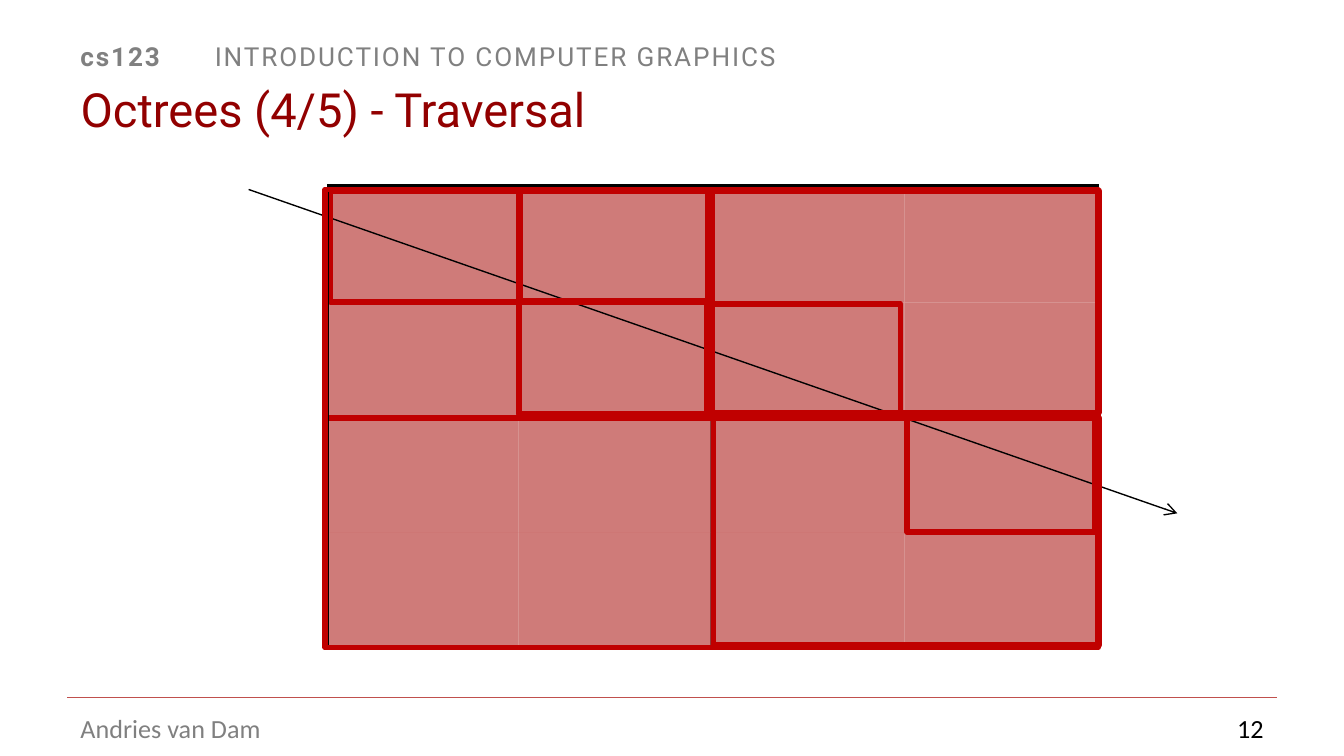
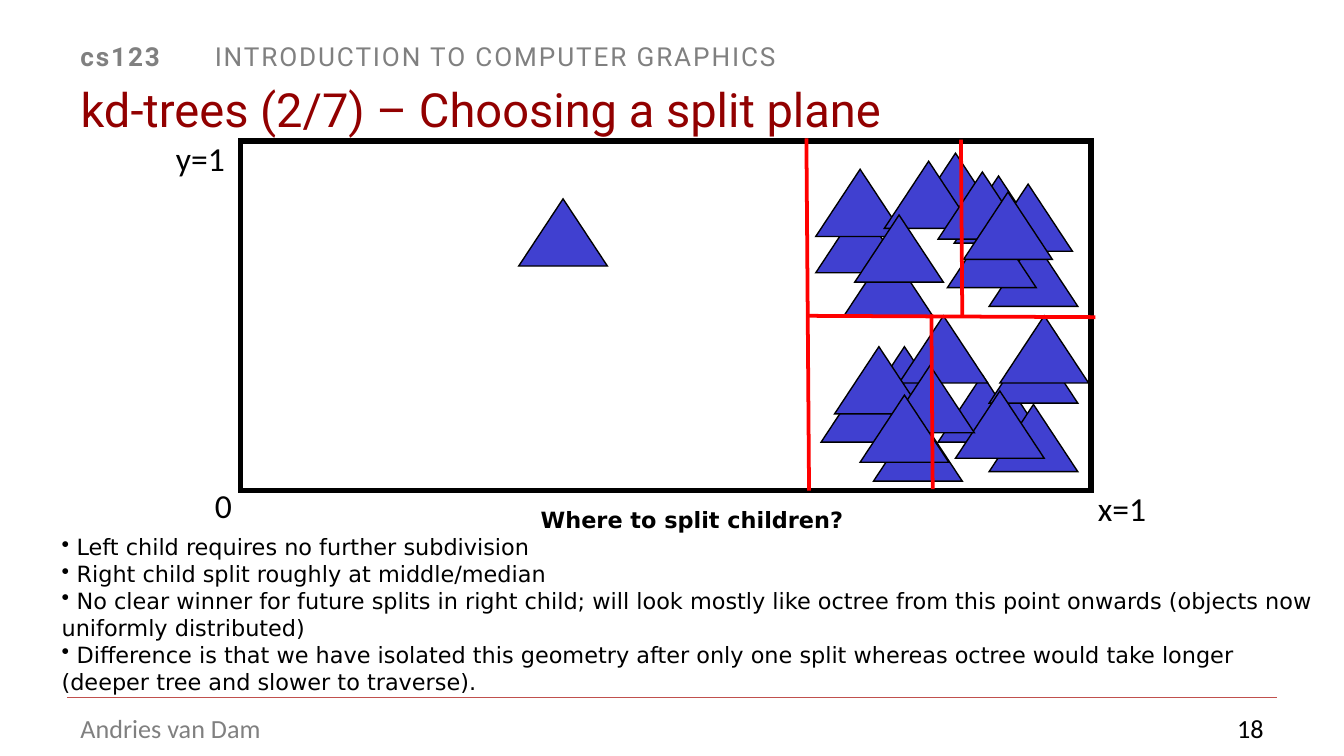
from lxml.etree import SubElement
from pptx import Presentation
from pptx.dml.color import RGBColor
from pptx.enum.shapes import MSO_CONNECTOR, MSO_SHAPE
from pptx.enum.text import MSO_ANCHOR, MSO_AUTO_SIZE, PP_ALIGN
from pptx.oxml.ns import qn
from pptx.util import Inches, Pt

PX = 9144

WHITE = RGBColor(0xFF, 0xFF, 0xFF)
BLACK = RGBColor(0, 0, 0)
GREY = RGBColor(0x80, 0x80, 0x80)
TITLE_RED = RGBColor(0x92, 0, 0)
CELL_RED = RGBColor(0xC0, 0x50, 0x4D)
VISITED_RED = RGBColor(0xC0, 0, 0)
SPLIT_RED = RGBColor(0xFF, 0, 0)
TRIANGLE_BLUE = RGBColor(0x40, 0x40, 0xD0)

COURSE = ("cs123 \t", "INTRODUCTION TO COMPUTER GRAPHICS")
AUTHOR = "Andries van Dam"

OCTREE_TITLE, OCTREE_PAGE = "Octrees (4/5) - Traversal", "12"
GRID_LEFT, GRID_TOP, GRID_COUNT = 243, 140, 4
CELL_WIDTH, CELL_HEIGHT, HALF_GAP = 143, 85, 1
GRID_AXES = [(529, 140, 529, 481), (242, 310, 817, 310)]
RAY = (185, 141, 876, 382)
OUTLINES = [
    (243, 142, 286, 169, VISITED_RED, 3),
    (246, 142, 140, 83, VISITED_RED, 3),
    (386, 225, 140, 83, VISITED_RED, 3),
    (530, 142, 288, 165, VISITED_RED, 3),
    (244, 138, 573, 344, BLACK, 1.5),
    (530, 226, 140, 82, VISITED_RED, 3),
    (531, 311, 287, 169, VISITED_RED, 3),
    (675, 309, 140, 87, VISITED_RED, 3),
    (387, 142, 140, 82, VISITED_RED, 3),
    (242, 141, 575, 341, VISITED_RED, 3),
]

KD_TITLE, KD_PAGE = "kd-trees (2/7) – Choosing a split plane", "18"
QUESTION = "Where to split children?"
ANSWERS = [
    "Left child requires no further subdivision",
    "Right child split roughly at middle/median",
    "No clear winner for future splits in right child; will look mostly like octree "
    "from this point onwards (objects now uniformly distributed)",
    "Difference is that we have isolated this geometry after only one split whereas "
    "octree would take longer (deeper tree and slower to traverse).",
]
AXIS_LABELS = [
    ("0", (150, 356, 33, 40), False),
    ("x=1", (807, 358, 56, 40), False),
    ("y=1", (121, 98, 69, 40), True),
]
SPACE = (179, 105, 633, 260)
TRIANGLE_SIZE = (66, 50)
LONE_TRIANGLE = (386, 148)
FIRST_SPLIT = (600, 103, 602, 365)
CLUSTER = [
    (717, 286), (698, 279), (710, 131), (628, 185), (736, 178), (607, 153),
    (640, 258), (736, 301), (669, 235), (678, 114), (611, 279), (736, 250),
    (621, 258), (744, 235), (607, 126), (650, 308), (705, 164), (711, 291),
    (732, 137), (658, 120), (659, 272), (698, 128), (717, 143), (640, 294),
    (636, 160),
]
LATER_SPLITS = [(601, 235, 815, 236), (715, 104, 716, 235), (693, 234, 694, 364)]


def emu(lengths):
    return [length * PX for length in lengths]


def style_font(font, name, size, colour, bold=False):
    font.name, font.size, font.bold = name, Pt(size), bold
    font.color.rgb = colour


def add_figure(slide, kind, box, fill=None, colour=None, weight=0.75):
    figure = slide.shapes.add_shape(kind, *emu(box))
    figure.shadow.inherit = False
    if fill is None:
        figure.fill.background()
    else:
        figure.fill.solid()
        figure.fill.fore_color.rgb = fill
    if colour is None:
        figure.line.fill.background()
    else:
        figure.line.color.rgb = colour
        figure.line.width = Pt(weight)
        if colour == BLACK:
            SubElement(figure.line._get_or_add_ln(), qn("a:miter"), lim="800000")
    return figure


def add_line(slide, ends, colour, weight=0.75, arrow=False):
    line = slide.shapes.add_connector(MSO_CONNECTOR.STRAIGHT, *emu(ends))
    line.line.color.rgb = colour
    line.line.width = Pt(weight)
    if arrow:
        SubElement(line.line._get_or_add_ln(), qn("a:tailEnd"), type="arrow")
    SubElement(line._element.spPr, qn("a:effectLst"))


def add_label(slide, text, box, size, colour, wrap=True, align=PP_ALIGN.LEFT):
    frame = slide.shapes.add_textbox(*emu(box)).text_frame
    frame.word_wrap = wrap
    frame.text = text
    paragraph = frame.paragraphs[0]
    paragraph.alignment = align
    style_font(paragraph.runs[0].font, "Calibri", size, colour)


def add_course_slide(deck, title_text, page):
    slide = deck.slides.add_slide(deck.slide_layouts[5])
    slide.background.fill.solid()
    slide.background.fill.fore_color.rgb = WHITE

    header = add_figure(slide, MSO_SHAPE.RECTANGLE, (50, 25, 900, 25), WHITE).text_frame
    header.vertical_anchor = MSO_ANCHOR.TOP
    heading = header.paragraphs[0]
    heading.alignment = PP_ALIGN.LEFT
    for part, bold in zip(COURSE, (True, False)):
        run = heading.add_run()
        run.text = part
        style_font(run.font, "Roboto", 14, GREY, bold)
        run.font._element.set("spc", "100")

    add_label(slide, AUTHOR, (50, 525, 192, 34), 14, GREY)
    add_line(slide, (50, 519, 950, 519), CELL_RED)
    add_label(slide, page, (817, 525, 133, 26), 14, BLACK, align=PP_ALIGN.RIGHT)

    title = slide.shapes.title
    title.left, title.top, title.width, title.height = emu((50, 56, 900, 50))
    frame = title.text_frame
    frame.text = title_text
    frame.auto_size = MSO_AUTO_SIZE.NONE
    frame.vertical_anchor = MSO_ANCHOR.MIDDLE
    frame.paragraphs[0].alignment = PP_ALIGN.LEFT
    style_font(frame.paragraphs[0].runs[0].font, "Roboto", 25.2, TITLE_RED)
    return slide


def build_octree(deck):
    slide = add_course_slide(deck, OCTREE_TITLE, OCTREE_PAGE)
    for axis in GRID_AXES:
        add_line(slide, axis, BLACK)
    for row in range(GRID_COUNT):
        for column in range(GRID_COUNT):
            left = GRID_LEFT + column * CELL_WIDTH + column // 2 * HALF_GAP
            top = GRID_TOP + row * CELL_HEIGHT + row // 2 * HALF_GAP
            cell = add_figure(slide, MSO_SHAPE.RECTANGLE,
                              (left, top, CELL_WIDTH, CELL_HEIGHT), CELL_RED)
            tint = cell._element.spPr.find(qn("a:solidFill"))[0]
            SubElement(tint, qn("a:alpha"), val="75000")
    add_line(slide, RAY, BLACK, arrow=True)
    for *box, colour, weight in OUTLINES:
        add_figure(slide, MSO_SHAPE.RECTANGLE, box, None, colour, weight)


def add_answers(slide):
    frame = slide.shapes.add_textbox(*emu((36, 372, 958, 151))).text_frame
    frame.word_wrap = True
    question = frame.paragraphs[0]
    question.text = QUESTION
    question.alignment = PP_ALIGN.CENTER
    style_font(question.runs[0].font, "DejaVu Sans", 12, BLACK, True)
    for answer in ANSWERS:
        paragraph = frame.add_paragraph()
        paragraph.text = " " + answer
        bullet = paragraph._p.get_or_add_pPr()
        SubElement(bullet, qn("a:buFontTx"))
        SubElement(bullet, qn("a:buChar"), char="•")
        style_font(paragraph.runs[0].font, "DejaVu Sans", 12, BLACK)


def build_kd_tree(deck):
    slide = add_course_slide(deck, KD_TITLE, KD_PAGE)
    add_answers(slide)
    for text, box, wrap in AXIS_LABELS:
        add_label(slide, text, box, 18, BLACK, wrap)
    add_figure(slide, MSO_SHAPE.RECTANGLE, SPACE, None, BLACK, 3)

    def add_triangle(corner):
        add_figure(slide, MSO_SHAPE.ISOSCELES_TRIANGLE, corner + TRIANGLE_SIZE,
                   TRIANGLE_BLUE, BLACK)

    add_triangle(LONE_TRIANGLE)
    add_line(slide, FIRST_SPLIT, SPLIT_RED, 2)
    for corner in CLUSTER:
        add_triangle(corner)
    for split in LATER_SPLITS:
        add_line(slide, split, SPLIT_RED, 2)


def main():
    deck = Presentation()
    deck.slide_width = Inches(10)
    deck.slide_height = deck.slide_width * 9 // 16
    build_octree(deck)
    build_kd_tree(deck)
    deck.save("out.pptx")


if __name__ == "__main__":
    main()
